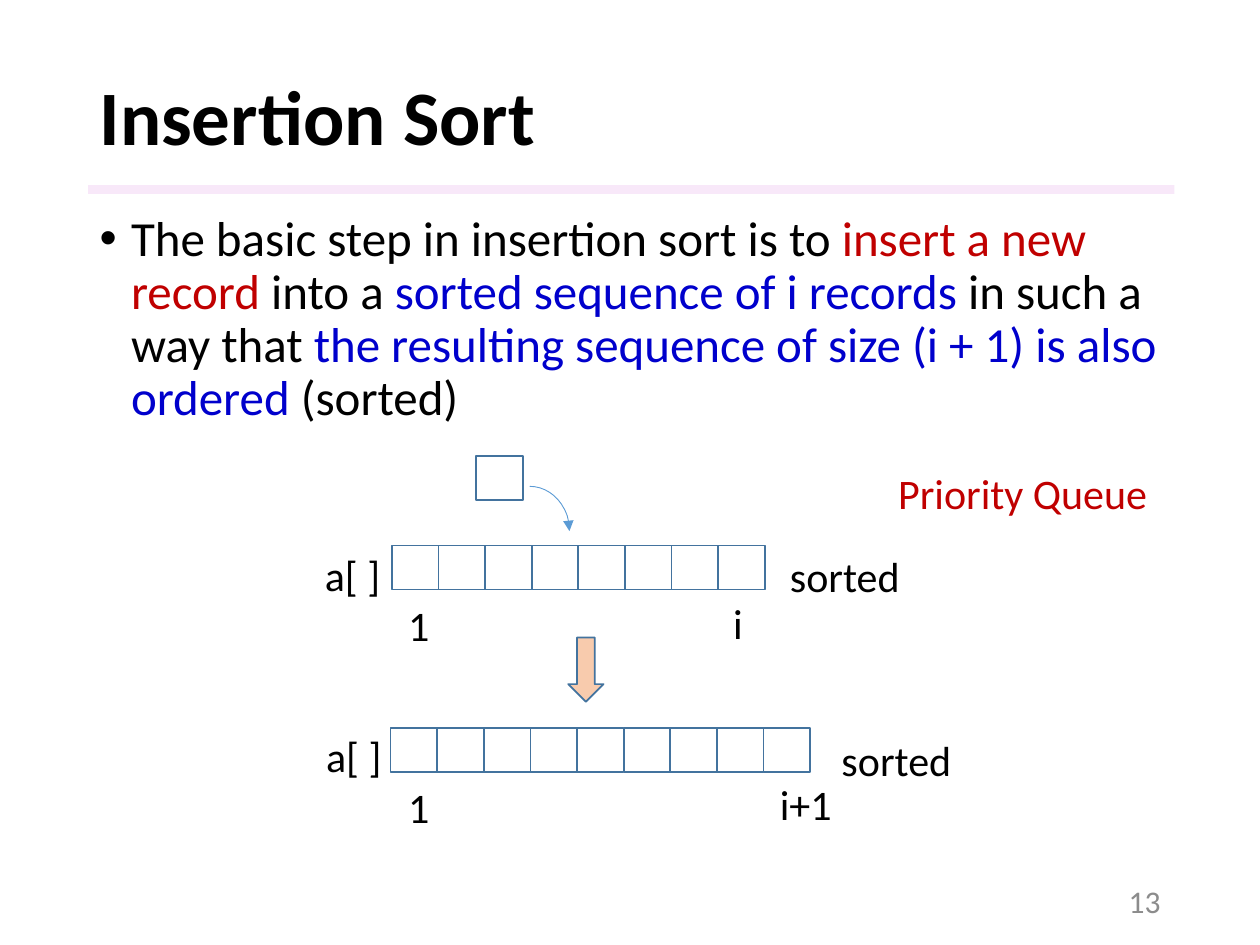
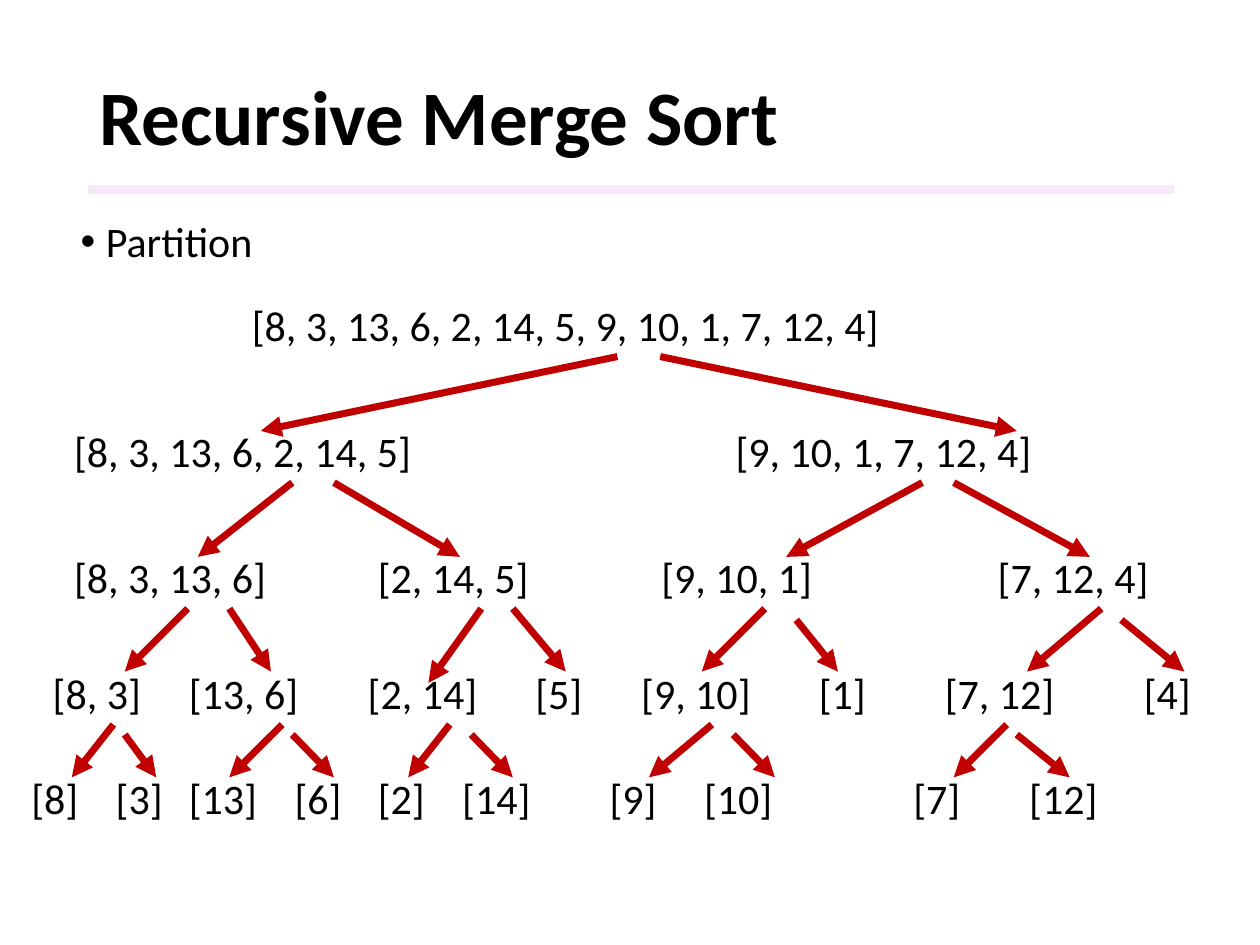
from dataclasses import dataclass

from lxml import etree
from pptx import Presentation
from pptx.dml import color
from pptx.enum import shapes, text
from pptx.oxml.ns import qn
from pptx.util import Inches, Pt


@dataclass(frozen=True)
class Theme:
    font: str = "Calibri"
    black: color.RGBColor = color.RGBColor.from_string("000000")
    red: color.RGBColor = color.RGBColor.from_string("C00000")
    blue: color.RGBColor = color.RGBColor.from_string("0000CC")
    gray: color.RGBColor = color.RGBColor.from_string("8C8C8C")
    band: color.RGBColor = color.RGBColor.from_string("F3D2F4")
    outline: color.RGBColor = color.RGBColor.from_string("43739E")
    curve: color.RGBColor = color.RGBColor.from_string("5B9BD5")
    peach: color.RGBColor = color.RGBColor.from_string("F8CBAD")
    title_size: Pt = Pt(44)
    body_size: Pt = Pt(28)
    label_size: Pt = Pt(24)
    number_size: Pt = Pt(18)


theme = Theme()


def write_text(shape, box, parts, size, wrap=True, anchor=text.MSO_ANCHOR.TOP):
    shape.left, shape.top, shape.width, shape.height = [Inches(length) for length in box]
    frame = shape.text_frame
    frame.word_wrap = wrap
    frame.auto_size = text.MSO_AUTO_SIZE.NONE
    frame.vertical_anchor = anchor
    paragraph = frame.paragraphs[0]
    paragraph.alignment = text.PP_ALIGN.LEFT
    paragraph.space_before = Pt(0)
    for words, rgb in parts:
        run = paragraph.add_run()
        run.text = words
        run.font.name = theme.font
        run.font.size = size
        run.font.color.rgb = rgb
    return paragraph


def add_arrowhead(shape, rgb, width):
    shape.line.color.rgb = rgb
    shape.line.width = Pt(width)
    line = shape._element.spPr.find(qn("a:ln"))
    etree.SubElement(line, qn("a:tailEnd"), type="triangle")
    if shape._element.spPr.find(qn("a:effectLst")) is None:
        etree.SubElement(shape._element.spPr, qn("a:effectLst"))


presentation = Presentation()
presentation.slide_width = Inches(10)
presentation.slide_height = Inches(7.5)

insertion_step = [
    ("The basic step in insertion sort is to ", theme.black),
    ("insert a new record ", theme.red),
    ("into a ", theme.black),
    ("sorted sequence of i records", theme.blue),
    (" in such a way that ", theme.black),
    ("the resulting sequence of size (i + 1) is also ordered", theme.blue),
    (" (sorted)", theme.black),
]
pages = [
    ("Insertion Sort", (0.69, 1.65, 8.62, 1.98), insertion_step, theme.body_size, 0.25, 0.9),
    ("Recursive Merge Sort", (0.54, 1.66, 1.58, 0.5), [("Partition", theme.black)],
     theme.label_size, 0.2, 1.0),
]
for title, body_box, body_parts, body_size, indent, spacing in pages:
    slide = presentation.slides.add_slide(presentation.slide_layouts[1])
    band = slide.shapes.add_shape(shapes.MSO_SHAPE.RECTANGLE,
                                  Inches(0.7), Inches(1.47), Inches(8.62), Inches(0.07))
    band.shadow.inherit = False
    band.fill.solid()
    band.fill.fore_color.rgb = theme.band
    band.line.fill.background()
    band_color = band._element.spPr.find(qn("a:solidFill")).find(qn("a:srgbClr"))
    etree.SubElement(band_color, qn("a:alpha"), val="50000")

    heading = write_text(slide.shapes.title, (0.69, 0.4, 8.62, 1.11), [(title, theme.black)],
                         theme.title_size, anchor=text.MSO_ANCHOR.MIDDLE)
    heading.line_spacing = 0.9
    heading.runs[0].font.bold = True

    bullet = write_text(slide.placeholders[1], body_box, body_parts, body_size)
    bullet.line_spacing = spacing
    properties = bullet._p.get_or_add_pPr()
    properties.set("marL", str(Inches(indent)))
    properties.set("indent", str(-Inches(indent)))

insertion_slide, merge_slide = presentation.slides

cell_width, cell_height = 0.37, 0.35
arrays = [
    (3.11, 4.33, 8, [("1", 3.14, 4.71, 0.37), ("i", 5.72, 4.69, 0.28)]),
    (3.1, 5.78, 9, [("1", 3.14, 6.15, 0.37), ("i+1", 6.09, 6.13, 0.62)]),
    (3.78, 3.62, 1, []),
]
for left, top, count, indexes in arrays:
    group = insertion_slide.shapes.add_group_shape()
    for position in range(count):
        cell = group.shapes.add_shape(
            shapes.MSO_SHAPE.RECTANGLE, Inches(left + position * cell_width), Inches(top),
            Inches(cell_width), Inches(cell_height))
        cell.shadow.inherit = False
        cell.fill.background()
        cell.line.color.rgb = theme.outline
        cell.line.width = Pt(1)
    for words, index_left, index_top, width in indexes:
        index_label = group.shapes.add_textbox(0, 0, 0, 0)
        write_text(index_label, (index_left, index_top, width, 0.5), [(words, theme.black)],
                   theme.label_size, wrap=False)

insert_arc = insertion_slide.shapes.add_shape(
    shapes.MSO_SHAPE.ARC, Inches(3.89), Inches(3.86), Inches(0.63), Inches(0.71))
insert_arc.shadow.inherit = False
insert_arc.fill.background()
add_arrowhead(insert_arc, theme.curve, 0.5)

down_arrow = insertion_slide.shapes.add_shape(
    shapes.MSO_SHAPE.DOWN_ARROW, Inches(4.51), Inches(5.06), Inches(0.28), Inches(0.51))
down_arrow.shadow.inherit = False
down_arrow.fill.solid()
down_arrow.fill.fore_color.rgb = theme.peach
down_arrow.line.color.rgb = theme.outline
down_arrow.line.width = Pt(1)

array_labels = [
    ("sorted", 6.17, 4.32, 1.08, theme.black),
    ("sorted", 6.58, 5.78, 1.08, theme.black),
    ("a[ ]", 2.48, 4.31, 0.65, theme.black),
    ("a[ ]", 2.49, 5.75, 0.65, theme.black),
    ("Priority Queue", 7.03, 3.66, 2.2, theme.red),
]
for words, left, top, width, rgb in array_labels:
    label = insertion_slide.shapes.add_textbox(0, 0, 0, 0)
    write_text(label, (left, top, width, 0.5), [(words, rgb)], theme.label_size, wrap=False)

page_number = insertion_slide.shapes.add_textbox(0, 0, 0, 0)
number_paragraph = write_text(page_number, (7.06, 6.95, 2.25, 0.4), [("13", theme.gray)],
                              theme.number_size, anchor=text.MSO_ANCHOR.MIDDLE)
number_paragraph.alignment = text.PP_ALIGN.RIGHT

level_tops = [2.33, 3.33, 4.33, 5.25, 6.08]
level_boxes = [
    [(1.9, 7)],
    [(0.49, 4), (5.74, 3.67)],
    [(0.49, 2.33), (2.9, 2), (5.15, 1.84), (7.82, 1.92)],
    [(0.32, 1.17), (1.4, 1.5), (2.82, 1.42), (4.15, 0.75),
     (4.99, 1.42), (6.4, 0.84), (7.4, 1.59), (8.98, 0.92)],
    [(0.15, 0.75), (0.82, 0.83), (1.4, 1), (2.24, 0.83), (2.9, 0.83),
     (3.57, 1.08), (4.74, 0.84), (5.49, 1), (7.15, 0.75), (8.07, 1)],
]
sequences = [[8, 3, 13, 6, 2, 14, 5, 9, 10, 1, 7, 12, 4]]
for top, boxes in zip(level_tops, level_boxes):
    for sequence, (left, width) in zip(sequences, boxes):
        node = merge_slide.shapes.add_textbox(0, 0, 0, 0)
        write_text(node, (left, top, width, 0.51), [(str(sequence), theme.black)],
                   theme.label_size)
    halves = []
    for sequence in sequences:
        if len(sequence) > 1:
            middle = (len(sequence) + 1) // 2
            halves += [sequence[:middle], sequence[middle:]]
    sequences = halves

split_arrows = [
    (4.9, 2.83, 2.07, 3.42), (5.24, 2.83, 8.07, 3.42),
    (2.32, 3.83, 1.57, 4.42), (2.65, 3.83, 3.65, 4.42),
    (7.32, 3.83, 6.24, 4.42), (7.57, 3.83, 8.65, 4.42),
    (1.49, 4.83, 0.99, 5.33), (1.82, 4.83, 2.15, 5.33),
    (3.82, 4.83, 3.4, 5.42), (4.07, 4.83, 4.49, 5.33),
    (6.07, 4.83, 5.57, 5.33), (6.32, 4.92, 6.65, 5.33),
    (8.74, 4.83, 8.15, 5.33), (8.9, 4.92, 9.4, 5.33),
    (0.9, 5.75, 0.57, 6.17), (0.99, 5.83, 1.24, 6.17),
    (2.24, 5.75, 1.82, 6.17), (2.32, 5.83, 2.65, 6.17),
    (3.57, 5.75, 3.24, 6.17), (3.74, 5.83, 4.07, 6.17),
    (5.65, 5.75, 5.15, 6.17), (5.82, 5.83, 6.15, 6.17),
    (7.99, 5.75, 7.57, 6.17), (8.07, 5.83, 8.49, 6.17),
]
for ends in split_arrows:
    arrow = merge_slide.shapes.add_connector(
        shapes.MSO_CONNECTOR.STRAIGHT, *[Inches(coordinate) for coordinate in ends])
    add_arrowhead(arrow, theme.red, 4)

presentation.save("out.pptx")
